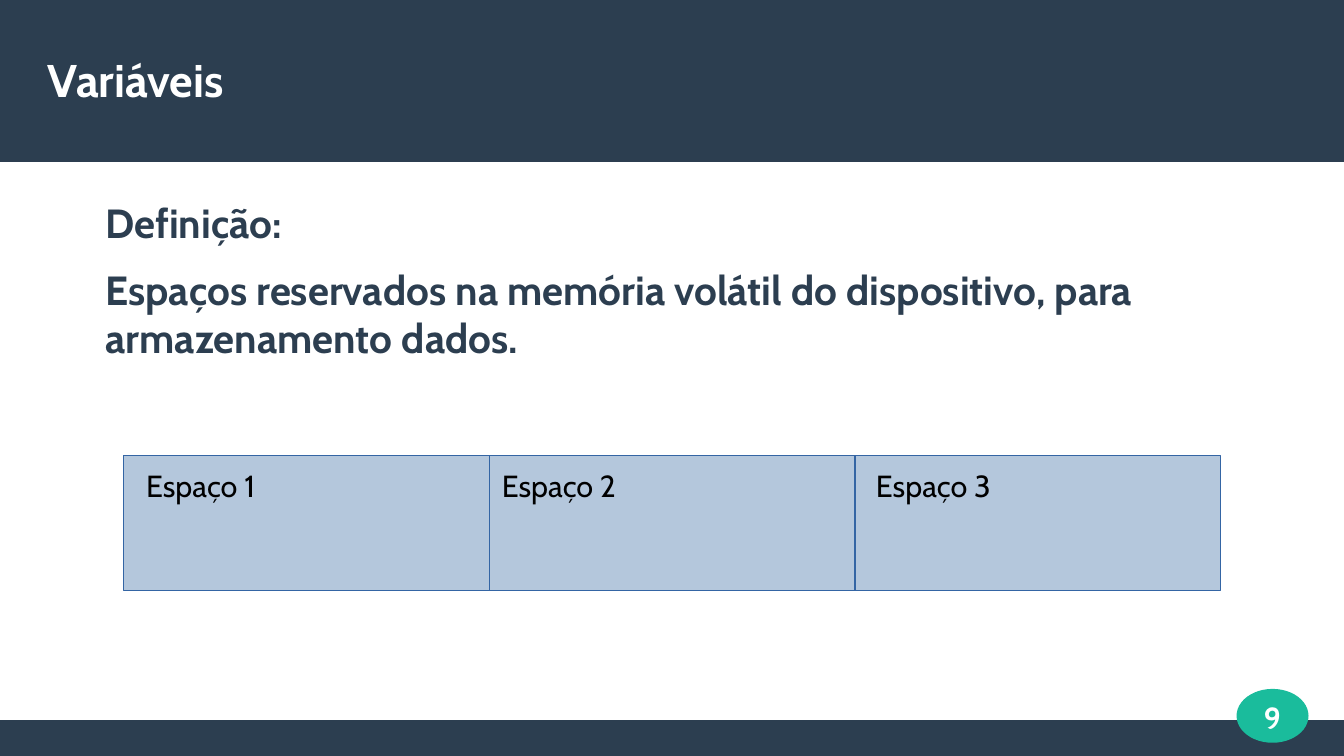
"""Build the slide that defines variables as reserved memory spaces."""
from pptx import Presentation
from pptx.dml.color import RGBColor
from pptx.enum.shapes import MSO_SHAPE
from pptx.enum.text import MSO_ANCHOR, PP_ALIGN
from pptx.util import Pt

COLORS = {
    "navy": "2C3E50",
    "green": "1ABC9C",
    "cell": "B4C7DC",
    "cell_line": "3465A4",
    "white": "FFFFFF",
    "black": "000000",
}


def add_block(kind, left, top, width, height, fill, line=None):
    block = page.shapes.add_shape(kind, Pt(left), Pt(top), Pt(width), Pt(height))
    block.shadow.inherit = False
    block.fill.solid()
    block.fill.fore_color.rgb = RGBColor.from_string(COLORS[fill])
    if line:
        block.line.color.rgb = RGBColor.from_string(COLORS[line])
        block.line.width = Pt(0)
    else:
        block.line.fill.background()


def add_text(lines, left, top, width, height, size, color, bold=True,
             anchor=MSO_ANCHOR.MIDDLE, align=PP_ALIGN.LEFT, margins=(0, 0), after=0):
    box = page.shapes.add_textbox(Pt(left), Pt(top), Pt(width), Pt(height))
    frame = box.text_frame
    frame.word_wrap = True
    frame.vertical_anchor = anchor
    frame.margin_left, frame.margin_top = Pt(margins[0]), Pt(margins[1])
    frame.margin_right = frame.margin_bottom = Pt(0)
    for index, line in enumerate(lines):
        para = frame.add_paragraph() if index else frame.paragraphs[0]
        para.alignment = align
        para.space_after = Pt(after)
        span = para.add_run()
        span.text = line
        span.font.name = "Cabin"
        span.font.size = Pt(size)
        span.font.bold = bold
        span.font.color.rgb = RGBColor.from_string(COLORS[color])


deck = Presentation()
deck.slide_width, deck.slide_height = Pt(793.44), Pt(446.4)
page = deck.slides.add_slide(deck.slide_layouts[6])

add_block(MSO_SHAPE.RECTANGLE, 0, 425.2, 793.44, 21.2, "navy")
add_block(MSO_SHAPE.RECTANGLE, 0, 0, 793.44, 95.7, "navy")
add_block(MSO_SHAPE.OVAL, 730, 406.8, 42.5, 31.8, "green")

add_text(["Variáveis"], 28.3, 18, 737, 57, 27, "white")
add_text(
    ["Definição:",
     "Espaços reservados na memória volátil do dispositivo, para armazenamento dados."],
    28.3, 116.8, 737, 297, 24, "navy",
    anchor=MSO_ANCHOR.TOP, margins=(34, 0), after=10.6)

cell_left, cell_top, cell_width, cell_height = 73, 269, 215.9, 79.5
for number in range(3):
    add_block(MSO_SHAPE.FLOWCHART_PROCESS, cell_left + number * cell_width, cell_top,
              cell_width, cell_height, "cell", "cell_line")
for number, label_left in enumerate([79.2, 289.2, 510.1], start=1):
    add_text([f"Espaço {number}"], label_left, 272.2, 96.5, 31.7, 18, "black",
             bold=False, anchor=MSO_ANCHOR.TOP, margins=(7.2, 3.6))

add_text(["9"], 722.9, 402, 56.7, 42.5, 18, "white", align=PP_ALIGN.CENTER)

deck.save("out.pptx")
